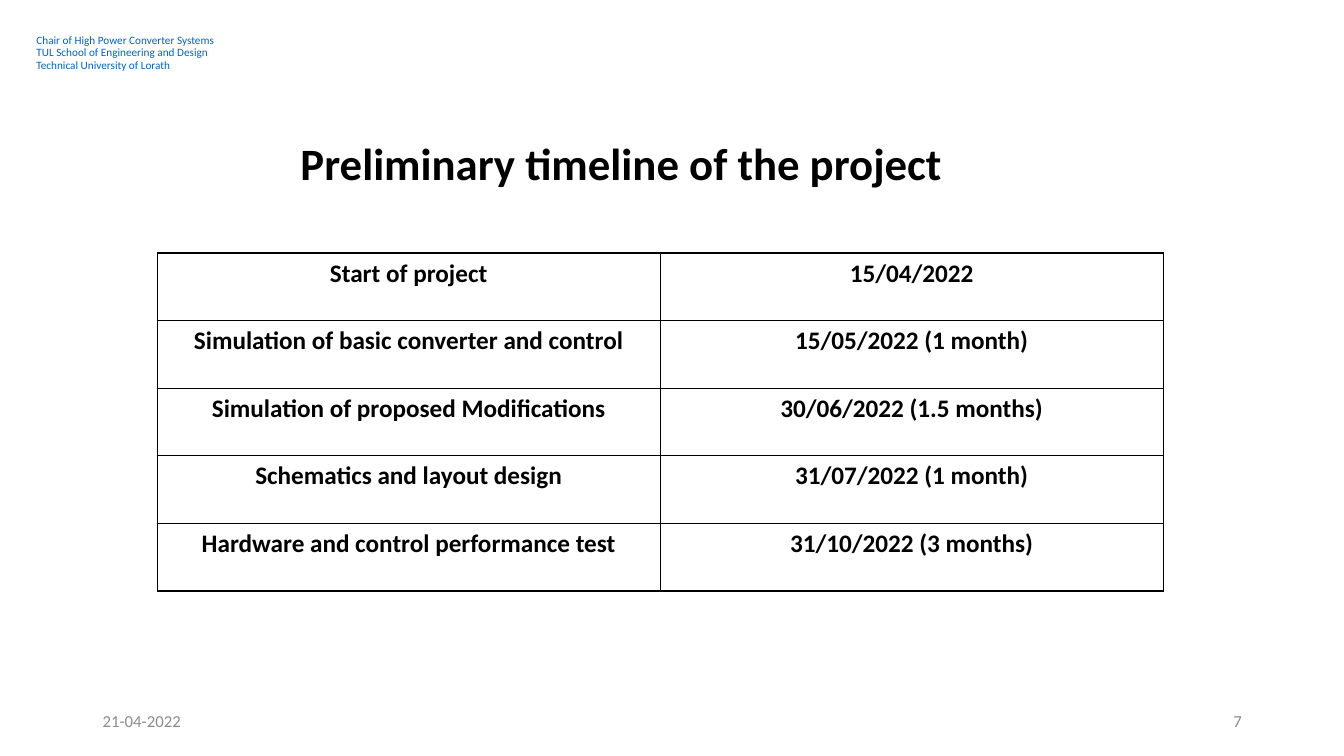
from lxml.etree import SubElement
from pptx import Presentation
from pptx.dml.color import RGBColor
from pptx.enum.text import MSO_ANCHOR as Anchor, MSO_AUTO_SIZE as AutoSize, PP_ALIGN as Align
from pptx.oxml.ns import qn
from pptx.util import Pt

AFFILIATION = [
    "Chair of High Power Converter Systems",
    "TUL School of Engineering and Design",
    "Technical University of Lorath",
]
TITLE = "Preliminary timeline of the project"
DATE = "21-04-2022"
PAGE_NUMBER = "7"
MILESTONES = [
    ("Start of project", "15/04/2022"),
    ("Simulation of basic converter and control", "15/05/2022 (1 month)"),
    ("Simulation of proposed Modifications", "30/06/2022 (1.5 months)"),
    ("Schematics and layout design", "31/07/2022 (1 month)"),
    ("Hardware and control performance test", "31/10/2022 (3 months)"),
]

FONT = "Calibri"
BLACK, BLUE, GRAY = "000000", "0065BD", "8C8C8C"
TABLE_LEFT, TABLE_TOP = 112.3, 180.7
COLUMN_WIDTH, ROW_HEIGHT = 359.3, 48.3
FOOTER_TOP, FOOTER_WIDTH, FOOTER_HEIGHT = 500.4, 216, 28.8


def rgb(hex_color):
    return RGBColor.from_string(hex_color)


def write(frame, lines, size, color=BLACK, bold=False, align=Align.LEFT, spacing=None):
    for index, line in enumerate(lines):
        paragraph = frame.add_paragraph() if index else frame.paragraphs[0]
        paragraph.alignment = align
        paragraph.line_spacing = spacing
        run = paragraph.add_run()
        run.text = line
        run.font.name = FONT
        run.font.size = Pt(size)
        run.font.bold = bold
        run.font.color.rgb = rgb(color)


def place(shape, left, top, width, height):
    shape.left, shape.top = Pt(left), Pt(top)
    shape.width, shape.height = Pt(width), Pt(height)


def add_text(slide, lines, box, anchor=Anchor.TOP, margin=None, **text_format):
    frame = slide.shapes.add_textbox(*map(Pt, box)).text_frame
    frame.word_wrap = True
    frame.vertical_anchor = anchor
    if margin is not None:
        frame.margin_left = frame.margin_right = Pt(margin)
        frame.margin_top = frame.margin_bottom = Pt(margin)
    write(frame, lines, **text_format)


def add_borders(cell, color=BLACK, width=1):
    properties = cell._tc.get_or_add_tcPr()
    for side in ("lnL", "lnR", "lnT", "lnB"):
        line = SubElement(properties, qn(f"a:{side}"), w=str(Pt(width)))
        fill = SubElement(line, qn("a:solidFill"))
        SubElement(fill, qn("a:srgbClr"), val=color)


def add_timeline(slide):
    row_count, column_count = len(MILESTONES), len(MILESTONES[0])
    table = slide.shapes.add_table(
        row_count, column_count, Pt(TABLE_LEFT), Pt(TABLE_TOP),
        Pt(COLUMN_WIDTH * column_count), Pt(ROW_HEIGHT * row_count)).table
    table.first_row = table.horz_banding = False
    for row, milestone in zip(table.rows, MILESTONES):
        row.height = Pt(ROW_HEIGHT)
        for cell, text in zip(row.cells, milestone):
            add_borders(cell)
            cell.fill.background()
            write(cell.text_frame, [text], size=18, bold=True, align=Align.CENTER)


def main():
    presentation = Presentation()
    presentation.slide_width, presentation.slide_height = Pt(960), Pt(540)
    slide = presentation.slides.add_slide(presentation.slide_layouts[5])

    add_text(slide, AFFILIATION, (26, 24.5, 582.5, 27), margin=0,
             size=8, color=BLUE, spacing=0.94)

    title = slide.shapes.title
    place(title, 207.4, 93.6, 601.2, 46)
    title.text_frame.vertical_anchor = Anchor.TOP
    title.text_frame.auto_size = AutoSize.NONE
    write(title.text_frame, [TITLE], size=32, bold=True)

    for text, left, align in ((DATE, 66.2, Align.LEFT), (PAGE_NUMBER, 678.2, Align.RIGHT)):
        add_text(slide, [text], (left, FOOTER_TOP, FOOTER_WIDTH, FOOTER_HEIGHT),
                 anchor=Anchor.MIDDLE, size=12, color=GRAY, align=align)

    add_timeline(slide)
    presentation.save("out.pptx")


if __name__ == "__main__":
    main()
